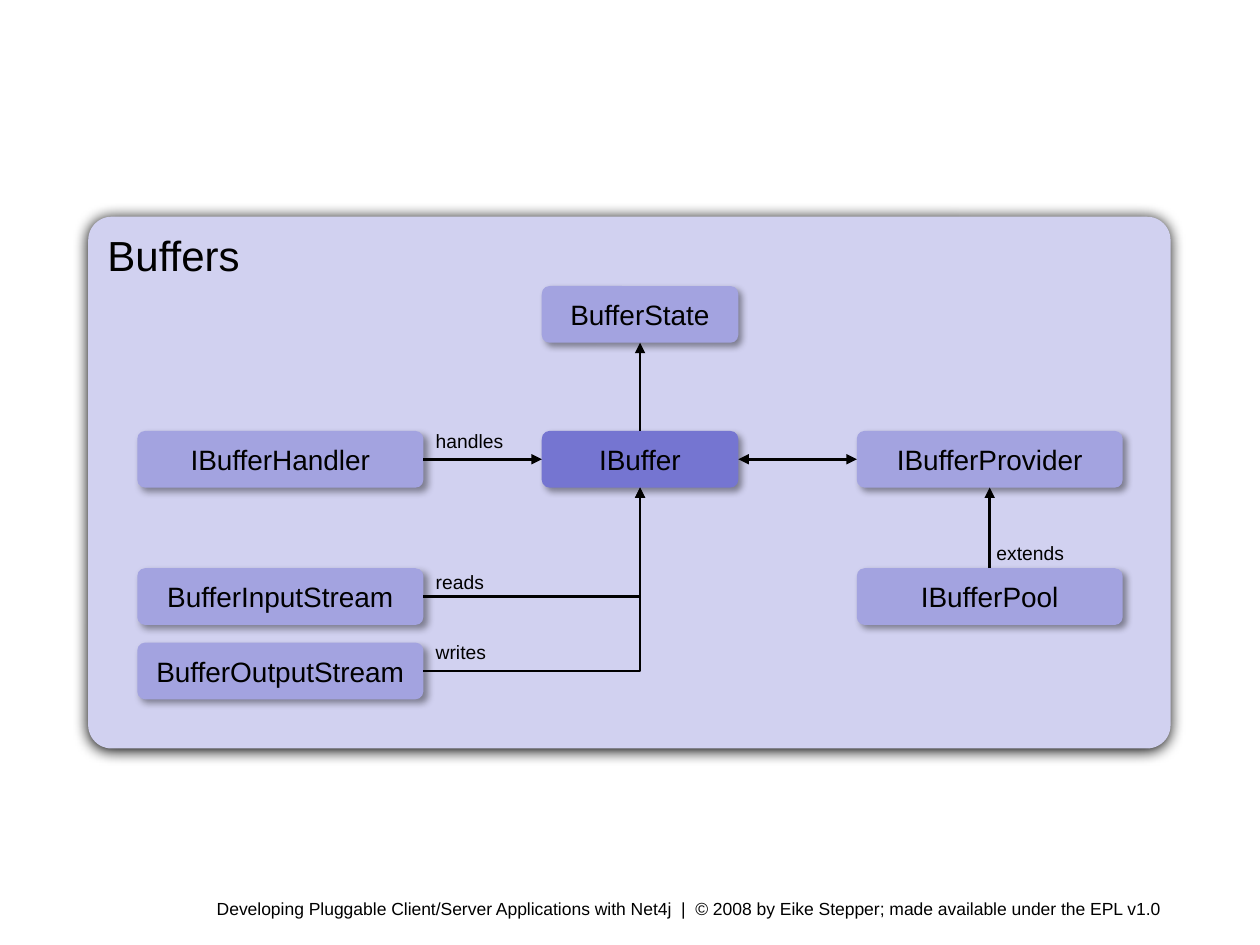
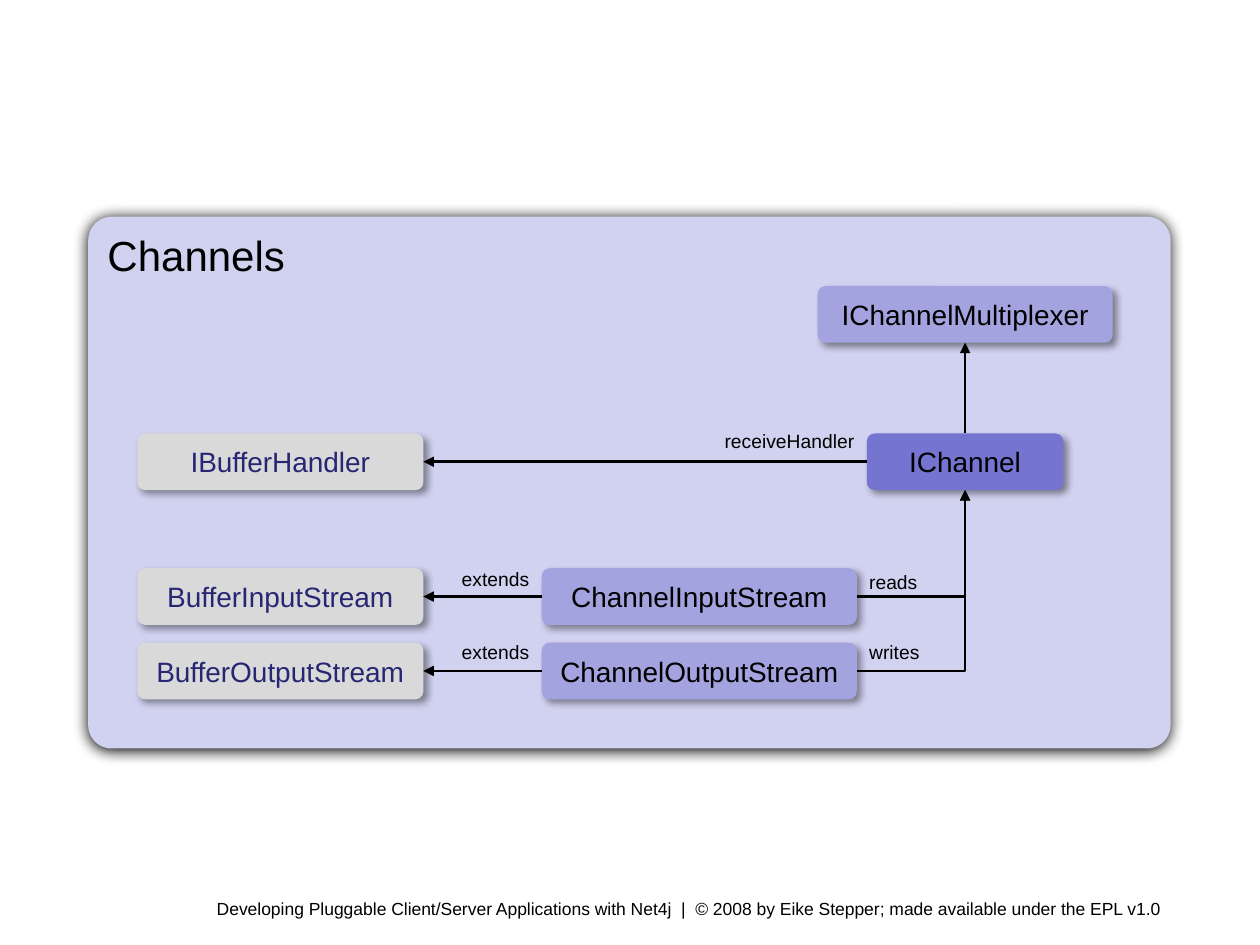
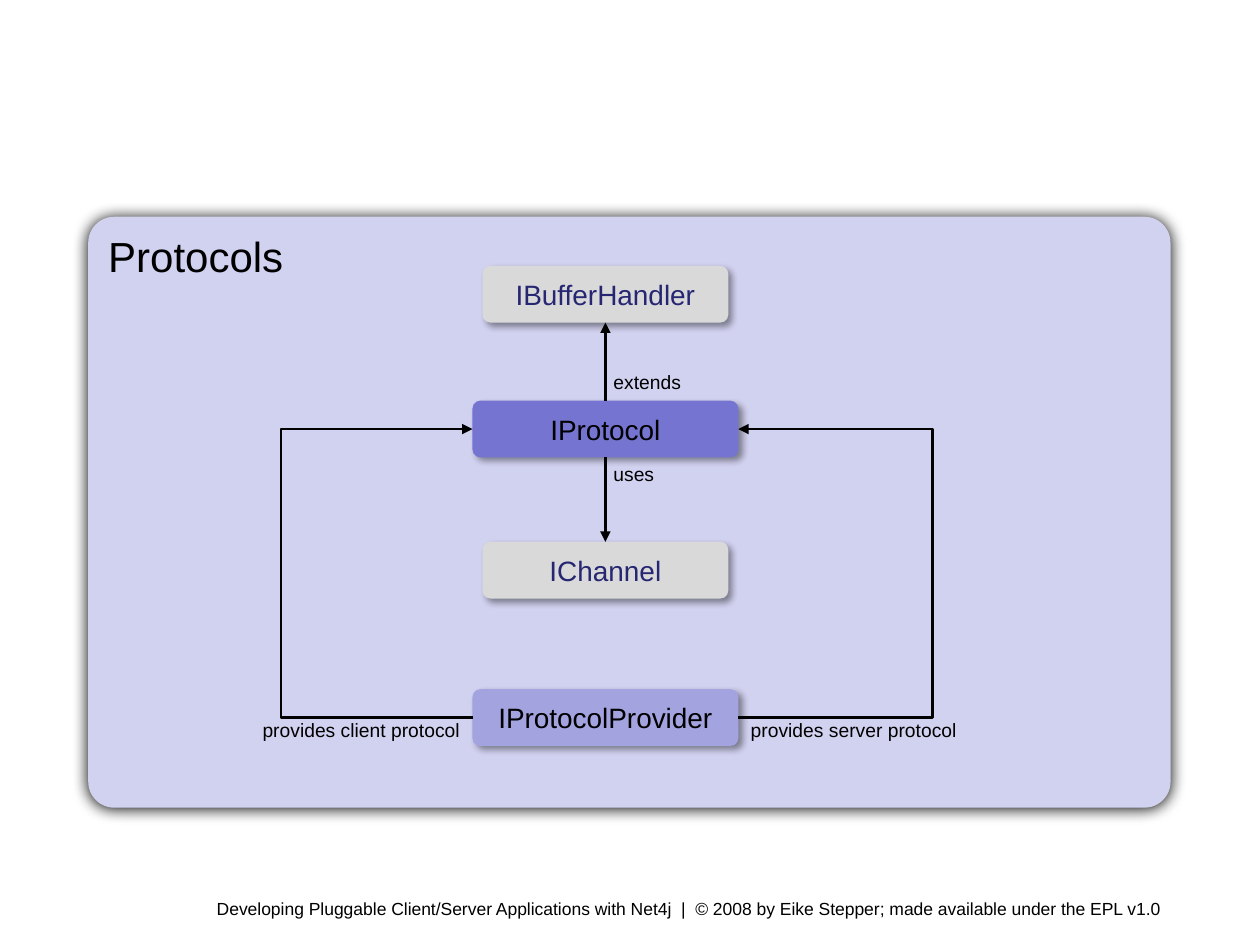
from dataclasses import dataclass

import lxml.etree
import pptx
import pptx.util
from pptx.dml.color import RGBColor
from pptx.enum.shapes import MSO_CONNECTOR, MSO_SHAPE
from pptx.enum.text import MSO_ANCHOR, PP_ALIGN
from pptx.oxml.ns import qn
from pptx.util import Inches

BLACK = RGBColor(0x00, 0x00, 0x00)
NAVY = RGBColor(0x26, 0x26, 0x73)
PALE = RGBColor(0xD1, 0xD1, 0xF0)
LILAC = RGBColor(0xA3, 0xA3, 0xE0)
VIOLET = RGBColor(0x75, 0x75, 0xD1)
GRAY = RGBColor(0xD9, 0xD9, 0xD9)

FONT = "Arial"
FOOTER = ("Developing Pluggable Client/Server Applications with Net4j  |  "
          "© 2008 by Eike Stepper; made available under the EPL v1.0")
BOX_H = 0.45
LABEL_H = 0.29
TOP, LEFT, BOTTOM, RIGHT = range(4)
LEFT_X, LEFT_W = 1.09, 2.27
MID_X = 4.3
STATE_Y, READ_Y, WRITE_Y = 2.27, 4.51, 5.1


@dataclass
class Shade:
    alpha: int
    blur: float
    dist: float
    angle: int


@dataclass
class Box:
    name: str
    left: float
    top: float
    width: float
    fill: RGBColor = LILAC


@dataclass
class Link:
    start: str
    begin: int
    goal: str
    end: int
    both: bool = False


@dataclass
class Loop:
    start: str
    goal: str
    side: int
    turn: float


@dataclass
class Label:
    text: str
    left: float
    top: float
    width: float = 0.94
    align: PP_ALIGN = PP_ALIGN.LEFT


@dataclass
class Panel:
    title: str
    height: float
    boxes: list[Box]
    links: list[Link]
    loops: list[Loop]
    labels: list[Label]


PANEL_SHADE = Shade(100, 8.5, 1, 90)
BOX_SHADE = Shade(40, 4, 3, 45)


def streams(prefix: str, left: float, width: float, fill: RGBColor = LILAC) -> list[Box]:
    return [Box(f"{prefix}InputStream", left, READ_Y, width, fill),
            Box(f"{prefix}OutputStream", left, WRITE_Y, width, fill)]


def flows(prefix: str, goal: str) -> list[Link]:
    return [Link(f"{prefix}{kind}Stream", RIGHT, goal, BOTTOM) for kind in ("Input", "Output")]


def verbs(left: float) -> list[Label]:
    return [Label("reads", left, 4.48), Label("writes", left, 5.03)]


PANELS = [
    Panel(
        "Buffers", 4.22,
        [Box("IBuffer", MID_X, 3.42, 1.56, VIOLET),
         Box("IBufferProvider", 6.8, 3.42, 2.11),
         Box("IBufferPool", 6.8, READ_Y, 2.11),
         Box("IBufferHandler", LEFT_X, 3.42, LEFT_W),
         Box("BufferState", MID_X, STATE_Y, 1.56),
         *streams("Buffer", LEFT_X, LEFT_W)],
        [Link("IBufferProvider", LEFT, "IBuffer", RIGHT, both=True),
         Link("IBufferPool", TOP, "IBufferProvider", BOTTOM),
         Link("IBufferHandler", RIGHT, "IBuffer", LEFT),
         Link("IBuffer", TOP, "BufferState", BOTTOM),
         *flows("Buffer", "IBuffer")],
        [],
        [Label("extends", 7.81, 4.25), Label("handles", 3.36, 3.36), *verbs(3.36)]),
    Panel(
        "Channels", 4.22,
        [Box("IChannel", 6.88, 3.44, 1.56, VIOLET),
         Box("IBufferHandler", LEFT_X, 3.44, LEFT_W, GRAY),
         Box("IChannelMultiplexer", 6.49, STATE_Y, 2.34),
         *streams("Channel", MID_X, 2.5),
         *streams("Buffer", LEFT_X, LEFT_W, GRAY)],
        [Link("IChannel", LEFT, "IBufferHandler", RIGHT),
         Link("IChannel", TOP, "IChannelMultiplexer", BOTTOM),
         *flows("Channel", "IChannel"),
         Link("ChannelInputStream", LEFT, "BufferInputStream", RIGHT),
         Link("ChannelOutputStream", LEFT, "BufferOutputStream", RIGHT)],
        [],
        [Label("receiveHandler", 5.55, 3.36, 1.33, PP_ALIGN.RIGHT),
         *verbs(6.8),
         Label("extends", 3.36, 4.45, align=PP_ALIGN.RIGHT),
         Label("extends", 3.36, 5.03, align=PP_ALIGN.RIGHT)]),
    Panel(
        "Protocols", 4.69,
        [Box("IProtocol", 3.75, 3.18, 2.11, VIOLET),
         Box("IProtocolProvider", 3.75, 5.47, 2.11),
         Box("IBufferHandler", 3.83, 2.11, 1.95, GRAY),
         Box("IChannel", 3.83, 4.3, 1.95, GRAY)],
        [Link("IProtocol", TOP, "IBufferHandler", BOTTOM),
         Link("IProtocol", BOTTOM, "IChannel", TOP)],
        [Loop("IProtocolProvider", "IProtocol", RIGHT, 7.4),
         Loop("IProtocolProvider", "IProtocol", LEFT, 2.23)],
        [Label("extends", 4.77, 2.89, 1.09),
         Label("uses", 4.77, 3.62, 1.09),
         Label("provides server protocol", 5.86, 5.65, 2.34),
         Label("provides client protocol", 1.41, 5.65, 2.34, PP_ALIGN.RIGHT)]),
]


def write(frame, text: str, size: int, color: RGBColor, align: PP_ALIGN) -> None:
    frame.text = text
    frame.word_wrap = True
    line = frame.paragraphs[0]
    line.alignment = align
    font = line.runs[0].font
    font.name = FONT
    font.size = pptx.util.Pt(size)
    font.color.rgb = color


def add_shade(shape, shade: Shade) -> None:
    shape.shadow.inherit = False
    effects = shape._element.spPr.find(qn("a:effectLst"))
    outer = lxml.etree.SubElement(
        effects, qn("a:outerShdw"), blurRad=str(pptx.util.Pt(shade.blur)),
        dist=str(pptx.util.Pt(shade.dist)), dir=str(shade.angle * 60000), rotWithShape="0")
    color = lxml.etree.SubElement(outer, qn("a:srgbClr"), val=str(BLACK))
    lxml.etree.SubElement(color, qn("a:alpha"), val=str(shade.alpha * 1000))


def add_round(slide, box: Box, height: float, curve: float, shade: Shade):
    shape = slide.shapes.add_shape(
        MSO_SHAPE.ROUNDED_RECTANGLE, Inches(box.left), Inches(box.top),
        Inches(box.width), Inches(height))
    shape.adjustments[0] = curve
    shape.fill.solid()
    shape.fill.fore_color.rgb = box.fill
    shape.line.fill.background()
    add_shade(shape, shade)
    return shape


def add_box(slide, box: Box):
    shape = add_round(slide, box, BOX_H, 0.138, BOX_SHADE)
    color = NAVY if box.fill == GRAY else BLACK
    write(shape.text_frame, box.name, 16, color, PP_ALIGN.CENTER)
    shape.text_frame.vertical_anchor = MSO_ANCHOR.MIDDLE
    return shape


def ink(line, both: bool = False) -> None:
    line.color.rgb = BLACK
    line.width = pptx.util.Pt(1.5)
    stroke = line._get_or_add_ln()
    for tip in ("headEnd", "tailEnd") if both else ("tailEnd",):
        lxml.etree.SubElement(stroke, qn(f"a:{tip}"), type="triangle")


def add_link(slide, link: Link, shapes: dict) -> None:
    straight = abs(link.begin - link.end) == 2
    kind = MSO_CONNECTOR.STRAIGHT if straight else MSO_CONNECTOR.ELBOW
    line = slide.shapes.add_connector(kind, 0, 0, 0, 0)
    line.begin_connect(shapes[link.start], link.begin)
    line.end_connect(shapes[link.goal], link.end)
    if not straight:
        line._element.spPr.find(qn("a:prstGeom")).set("prst", "bentConnector2")
    ink(line.line, link.both)
    lxml.etree.SubElement(line._element.spPr, qn("a:effectLst"))


def side_point(shape, side: int) -> tuple[int, int]:
    x = shape.left + (shape.width if side == RIGHT else 0)
    return x, shape.top + shape.height // 2


def add_loop(slide, loop: Loop, shapes: dict) -> None:
    start = side_point(shapes[loop.start], loop.side)
    goal = side_point(shapes[loop.goal], loop.side)
    turn = Inches(loop.turn)
    pen = slide.shapes.build_freeform(*start)
    pen.add_line_segments([(turn, start[1]), (turn, goal[1]), goal], close=False)
    shape = pen.convert_to_shape()
    shape.fill.background()
    shape.shadow.inherit = False
    ink(shape.line)


def add_label(slide, label: Label, height: float = LABEL_H, size: int = 11):
    box = slide.shapes.add_textbox(
        Inches(label.left), Inches(label.top), Inches(label.width), Inches(height))
    write(box.text_frame, label.text, size, BLACK, label.align)
    return box


def add_panel(deck, panel: Panel) -> None:
    slide = deck.slides.add_slide(deck.slide_layouts[6])
    footer = add_label(slide, Label(FOOTER, 1.58, 7.08, 8.42), 0.27, 10)
    footer.text_frame.margin_left = Inches(0.14)
    back = add_round(slide, Box(panel.title, 0.7, 1.72, 8.59, PALE),
                     panel.height, 0.044, PANEL_SHADE)
    write(back.text_frame, panel.title, 24, BLACK, PP_ALIGN.LEFT)
    back.text_frame.vertical_anchor = MSO_ANCHOR.TOP
    shapes = {box.name: add_box(slide, box) for box in panel.boxes}
    for link in panel.links:
        add_link(slide, link, shapes)
    for loop in panel.loops:
        add_loop(slide, loop, shapes)
    for label in panel.labels:
        add_label(slide, label)


def main() -> None:
    deck = pptx.Presentation()
    deck.slide_width = Inches(10)
    deck.slide_height = Inches(7.5)
    for panel in PANELS:
        add_panel(deck, panel)
    deck.save("out.pptx")


if __name__ == "__main__":
    main()
